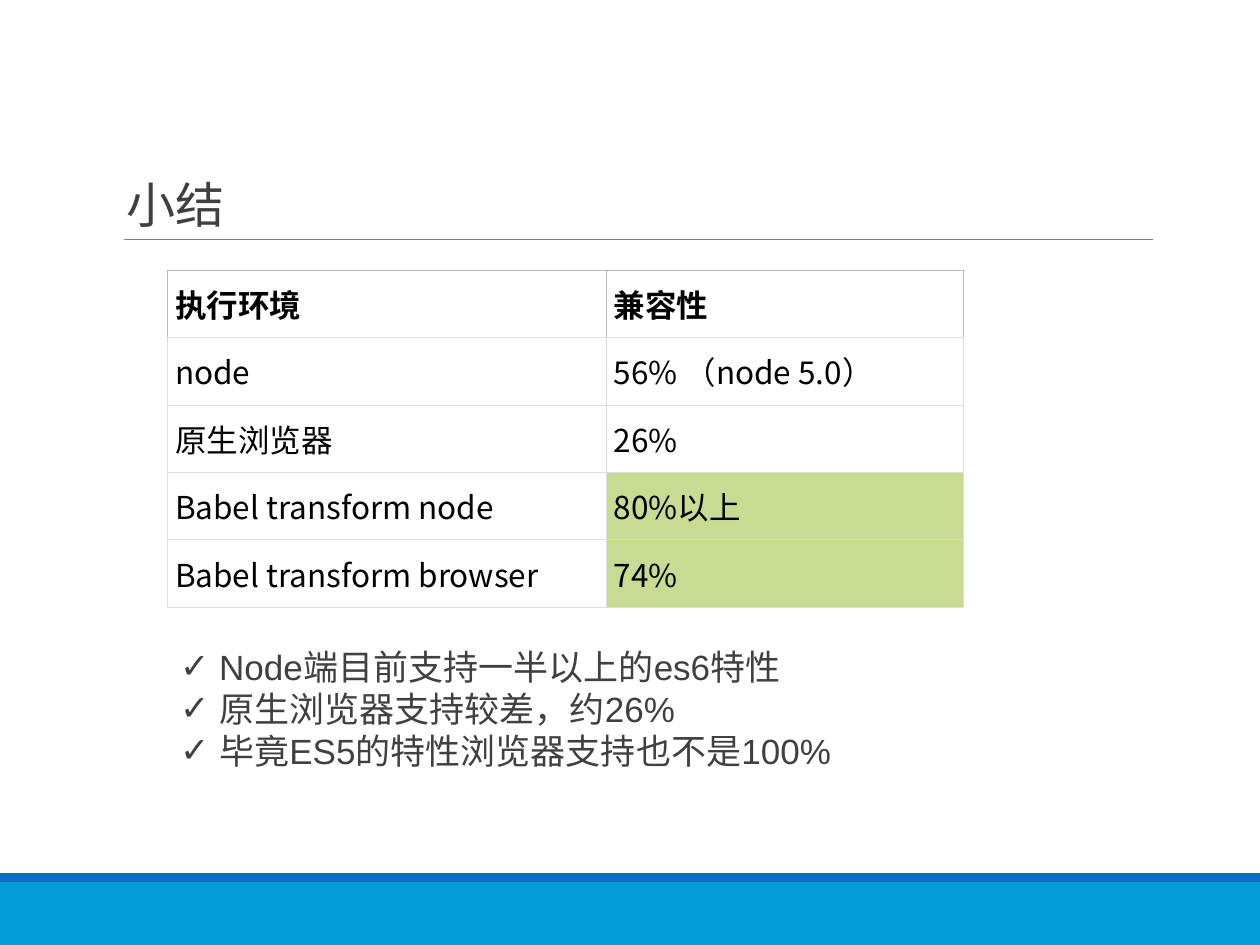
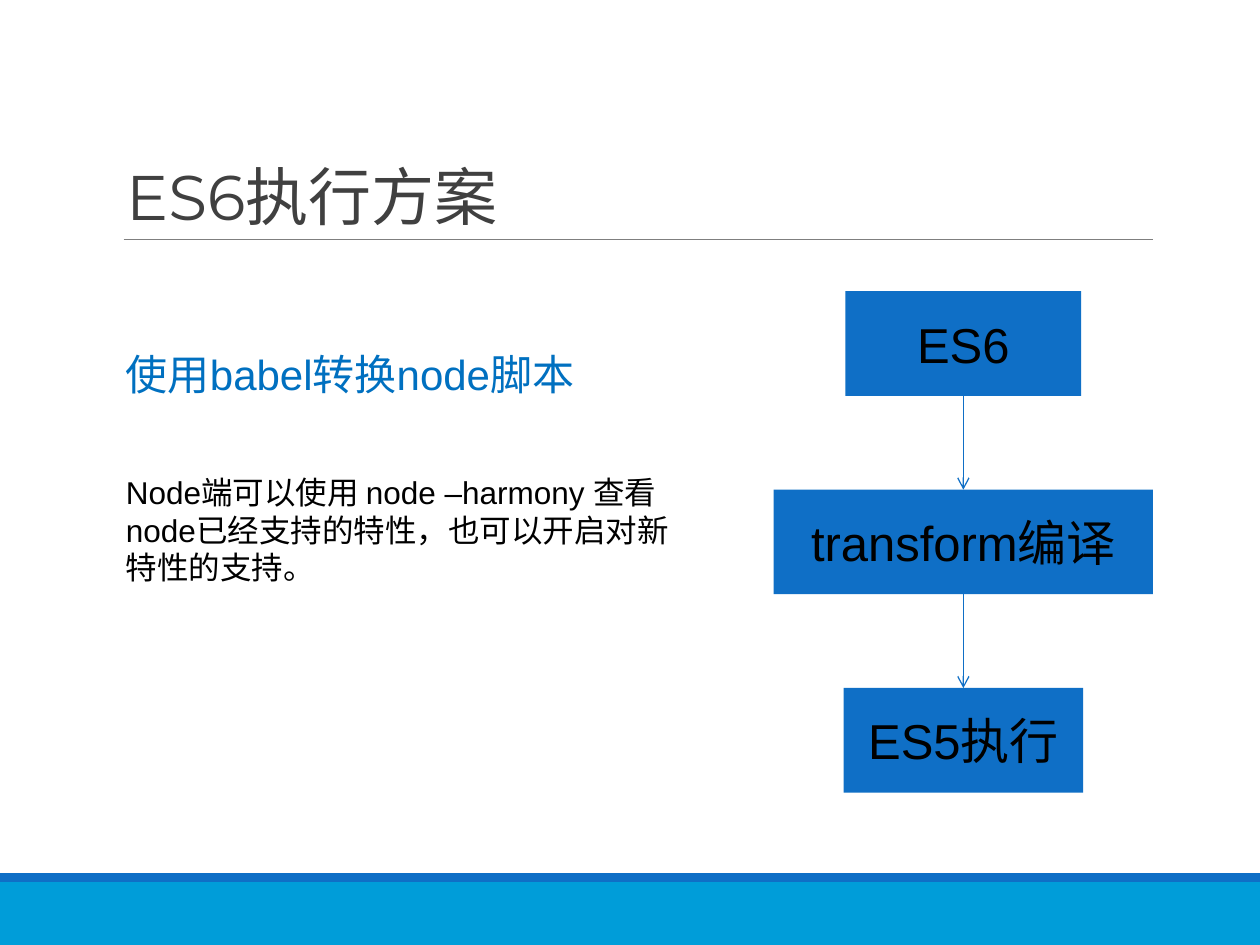
from lxml import etree
from pptx import Presentation
from pptx.dml.color import RGBColor
from pptx.enum.shapes import MSO_CONNECTOR, MSO_SHAPE
from pptx.enum.text import MSO_ANCHOR, MSO_AUTO_SIZE, PP_ALIGN
from pptx.oxml.ns import qn
from pptx.util import Cm, Pt

RECT = MSO_SHAPE.RECTANGLE
LINE = MSO_CONNECTOR.STRAIGHT
LEFT, CENTER = PP_ALIGN.LEFT, PP_ALIGN.CENTER
TOP, MIDDLE, BOTTOM = MSO_ANCHOR.TOP, MSO_ANCHOR.MIDDLE, MSO_ANCHOR.BOTTOM
NO_FIT = MSO_AUTO_SIZE.NONE

WIDE, HIGH = 25.4, 19.05
HAN = "Noto Sans CJK SC"
HUES = {
    "band": "009DD9", "blue": "0F6FC6", "rule": "7F7F7F", "text": "404040",
    "black": "000000", "lead": "0070C0", "green": "C9DA92",
    "grid": "DDDDDD", "head": "B7B7B7",
}

# Text formats: font values, with the colour by name
TITLE = {"name": "Montserrat", "color": "text"}
POINT = {"name": "Arial", "size": Pt(20), "color": "text"}
LEAD = {"name": "Arial", "size": Pt(24), "color": "lead"}
BODY = {"name": "Arial", "size": Pt(18), "color": "black"}
STEP = {"name": "Arial", "size": Pt(28), "color": "black"}
CELL = {"name": HAN, "size": Pt(18), "color": "black", "bold": False}
HEAD = {**CELL, "bold": True}

ROWS = [
    ("执行环境", "兼容性"),
    ("node", "56% （node 5.0）"),
    ("原生浏览器", "26%"),
    ("Babel transform node", "80%以上"),
    ("Babel transform browser", "74%"),
]
POINTS = [
    "Node端目前支持一半以上的es6特性",
    "原生浏览器支持较差，约26%",
    "毕竟ES5的特性浏览器支持也不是100%",
]
NOTE = "Node端可以使用 node –harmony 查看node已经支持的特性，也可以开启对新特性的支持。"
STEPS = [("ES6", 4.75), ("transform编译", 7.65), ("ES5执行", 4.83)]


def hue(name):
    return RGBColor.from_string(HUES[name])


def put(obj, **values):
    for key, value in values.items():
        setattr(obj, key, value)


def sub(node, tag, **values):
    return etree.SubElement(node, qn(tag), values)


def write(para, text, style):
    """Add one run and set its font from a format dict."""
    run = para.add_run()
    run.text = text
    put(run.font, **{k: v for k, v in style.items() if k != "color"})
    run.font.color.rgb = hue(style["color"])
    sub(run.font._element, "a:ea", typeface=HAN)


def tick(para):
    """Hang a check mark in front of the paragraph."""
    props = para._p.get_or_add_pPr()
    props.set("marL", str(Cm(0.79)))
    props.set("indent", str(-Cm(0.79)))
    sub(sub(props, "a:buClr"), "a:srgbClr", val=HUES["text"])
    sub(props, "a:buFont", typeface="Arial")
    sub(props, "a:buChar", char="✓")


def add_text(slide, x, y, w, h, items, gap=0, ticks=False):
    shape = slide.shapes.add_textbox(Cm(x), Cm(y), Cm(w), Cm(h))
    frame = shape.text_frame
    put(frame, word_wrap=True, vertical_anchor=TOP)
    for i, (text, style) in enumerate(items):
        para = frame.add_paragraph() if i else frame.paragraphs[0]
        if i and gap:
            para.space_before = Pt(gap)
        if ticks:
            tick(para)
        write(para, text, style)


def add_rect(slide, x, y, w, h, fill):
    shape = slide.shapes.add_shape(RECT, Cm(x), Cm(y), Cm(w), Cm(h))
    shape.shadow.inherit = False
    shape.fill.solid()
    shape.fill.fore_color.rgb = hue(fill)
    shape.line.fill.background()
    return shape


def add_step(slide, x, y, w, h, text):
    shape = add_rect(slide, x, y, w, h, "blue")
    put(shape.text_frame, word_wrap=True, vertical_anchor=MIDDLE)
    para = shape.text_frame.paragraphs[0]
    para.alignment = CENTER
    write(para, text, STEP)
    return shape


def add_line(slide, x1, y1, x2, y2, color, width):
    line = slide.shapes.add_connector(LINE, Cm(x1), Cm(y1), Cm(x2), Cm(y2))
    line.line.color.rgb = hue(color)
    line.line.width = Pt(width)
    sub(line._element.spPr, "a:effectLst")
    return line


def join(slide, start, end):
    """Draw an arrow from the foot of one step to the top of the next."""
    line = add_line(slide, 0, 0, 0, 0, "blue", 0.75)
    line.begin_connect(start, 2)
    line.end_connect(end, 0)
    sub(line.line._get_or_add_ln(), "a:tailEnd", type="arrow")


def edge(cell, top):
    """Draw the four cell borders; the head row has darker outer ones."""
    props = cell._tc.get_or_add_tcPr()
    for i, side in enumerate("LRTB"):
        color = "head" if top and side != "B" else "grid"
        line = etree.Element(qn("a:ln" + side), w=str(Pt(0.34)))
        sub(sub(line, "a:solidFill"), "a:srgbClr", val=HUES[color])
        props.insert(i, line)


def add_grid(slide, x, y, widths, tall, rows, marks):
    frame = slide.shapes.add_table(
        len(rows), len(widths), Cm(x), Cm(y), Cm(sum(widths)), Cm(tall * len(rows)))
    table = frame.table
    put(table, first_row=False, horz_banding=False)
    for col, width in zip(table.columns, widths):
        col.width = Cm(width)
    for r, row in enumerate(rows):
        table.rows[r].height = Cm(tall)
        for c, text in enumerate(row):
            cell = table.cell(r, c)
            put(cell, vertical_anchor=MIDDLE, margin_left=Cm(0.15),
                margin_right=Cm(0.08), margin_top=Cm(0.13), margin_bottom=Cm(0.13))
            write(cell.text_frame.paragraphs[0], text, CELL if r else HEAD)
            if (r, c) in marks:
                cell.fill.solid()
                cell.fill.fore_color.rgb = hue("green")
            else:
                cell.fill.background()
            edge(cell, r == 0)


def add_slide(deck, text, size):
    """Start a slide with the shared bands, rule and title."""
    slide = deck.slides.add_slide(deck.slide_layouts[5])
    add_rect(slide, 0, 17.78, WIDE, 1.27, "band")
    add_rect(slide, 0, 17.6, WIDE, 0.18, "blue")
    add_line(slide, 2.49, 4.83, 23.24, 4.83, "rule", 0.5)
    title = slide.shapes.title
    put(title, left=Cm(2.29), top=Cm(0.79), width=Cm(20.96), height=Cm(4.04))
    put(title.text_frame, word_wrap=True, vertical_anchor=BOTTOM, auto_size=NO_FIT)
    para = title.text_frame.paragraphs[0]
    put(para, alignment=LEFT, line_spacing=0.85)
    write(para, text, {**TITLE, "size": Pt(size)})
    return slide


def main():
    deck = Presentation()
    put(deck, slide_width=Cm(WIDE), slide_height=Cm(HIGH))

    # Summary: support table and findings
    slide = add_slide(deck, "小结", 28)
    add_grid(slide, 3.38, 5.44, [8.84, 7.19], 1.36, ROWS, {(3, 1), (4, 1)})
    add_text(slide, 3.38, 12.88, 14.96, 2.79, [(p, POINT) for p in POINTS], ticks=True)

    # How to run ES6: advice and flow
    slide = add_slide(deck, "ES6执行方案", 36)
    add_text(slide, 2.29, 6.91, 11.61, 5.84,
             [("使用babel转换node脚本", LEAD), (NOTE, BODY)], gap=42)
    axis, first, pitch, tall = 19.42, 5.87, 4, 2.11
    boxes = [add_step(slide, axis - w / 2, first + i * pitch, w, tall, text)
             for i, (text, w) in enumerate(STEPS)]
    for start, end in zip(boxes, boxes[1:]):
        join(slide, start, end)

    deck.save("out.pptx")


if __name__ == "__main__":
    main()
